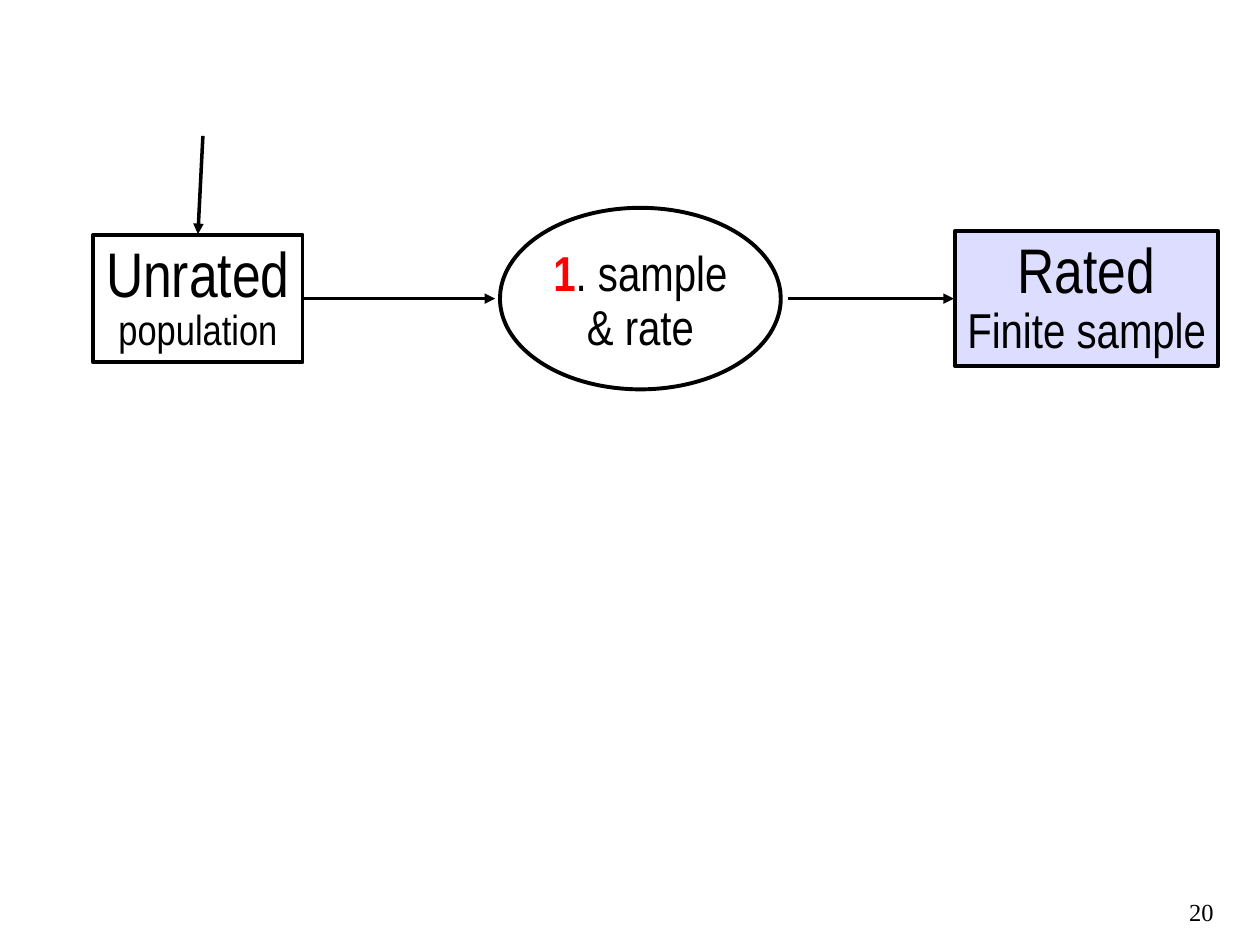
from lxml import etree
from pptx import Presentation
from pptx.dml.color import RGBColor
from pptx.enum.shapes import MSO_CONNECTOR, MSO_SHAPE
from pptx.enum.text import MSO_ANCHOR, PP_ALIGN
from pptx.oxml.ns import qn
from pptx.util import Cm, Pt

RECTANGLE = MSO_SHAPE.RECTANGLE
OVAL = MSO_SHAPE.OVAL
STRAIGHT = MSO_CONNECTOR.STRAIGHT
MIDDLE = MSO_ANCHOR.MIDDLE
CENTER = PP_ALIGN.CENTER

COLORS = {"black": "000000", "red": "FF0000", "lavender": "DDDDFF"}
LABEL_FONT = "Arial Narrow"
NUMBER_FONT = "Times New Roman"
ROW_CENTER = 6.02  # shared vertical centre of the flow, in cm


def color(name):
    return RGBColor.from_string(COLORS[name])


def add_run(paragraph, text, size, font, color_name="black", bold=False):
    run = paragraph.add_run()
    run.text = text
    run.font.size = Pt(size)
    run.font.name = font
    run.font.bold = bold
    run.font.color.rgb = color(color_name)


def add_node(slide, kind, left, width, height, lines, fill=None):
    """Add an outlined step; each line is (size, [(text, colour, bold), ...])."""
    top = ROW_CENTER - height / 2
    shape = slide.shapes.add_shape(kind, Cm(left), Cm(top), Cm(width), Cm(height))
    shape.shadow.inherit = False
    if fill:
        shape.fill.solid()
        shape.fill.fore_color.rgb = color(fill)
    else:
        shape.fill.background()
    shape.line.color.rgb = color("black")
    shape.line.width = Pt(2.25)

    frame = shape.text_frame
    frame.word_wrap = False
    frame.vertical_anchor = MIDDLE
    frame.margin_left = frame.margin_right = frame.margin_bottom = Cm(0.25)
    frame.margin_top = Cm(0.76)
    for index, (size, runs) in enumerate(lines):
        paragraph = frame.add_paragraph() if index else frame.paragraphs[0]
        paragraph.alignment = CENTER
        paragraph.line_spacing = 0.4
        if index:
            paragraph.space_before = Pt(size * 0.625)
        for text, color_name, bold in runs:
            add_run(paragraph, text, size, LABEL_FONT, color_name, bold)


def add_arrow(slide, start, end):
    points = [Cm(value) for value in (*start, *end)]
    connector = slide.shapes.add_connector(STRAIGHT, *points)
    connector.line.color.rgb = color("black")
    connector.line.width = Pt(2)
    etree.SubElement(connector.line._get_or_add_ln(), qn("a:tailEnd"), type="triangle")
    etree.SubElement(connector._element.spPr, qn("a:effectLst"))


def add_page_number(slide, number):
    box = slide.shapes.add_textbox(Cm(23.72), Cm(17.96), Cm(1.47), Cm(0.84))
    box.text_frame.word_wrap = True
    add_run(box.text_frame.paragraphs[0], number, 14, NUMBER_FONT)


def main():
    presentation = Presentation()
    presentation.slide_width = Cm(25.4)
    presentation.slide_height = Cm(19.05)
    slide = presentation.slides.add_slide(presentation.slide_layouts[6])

    add_page_number(slide, "20")

    # Steps of the flow
    add_node(slide, RECTANGLE, 1.88, 4.22, 2.57, [
        (36, [("Unrated", "black", False)]),
        (24, [("population", "black", False)]),
    ])
    add_node(slide, RECTANGLE, 19.25, 5.31, 2.72, [
        (36, [("Rated", "black", False)]),
        (28, [("Finite sample", "black", False)]),
    ], fill="lavender")
    add_node(slide, OVAL, 10.08, 5.66, 3.66, [
        (28, [("1", "red", True), (". sample", "black", False)]),
        (28, [("& rate", "black", False)]),
    ])

    # Arrows between the steps, and the one entering from above
    add_arrow(slide, (6.1, ROW_CENTER), (9.98, ROW_CENTER))
    add_arrow(slide, (15.88, ROW_CENTER), (19.23, ROW_CENTER))
    add_arrow(slide, (4.09, 2.74), (3.99, 4.72))

    presentation.save("out.pptx")


if __name__ == "__main__":
    main()
